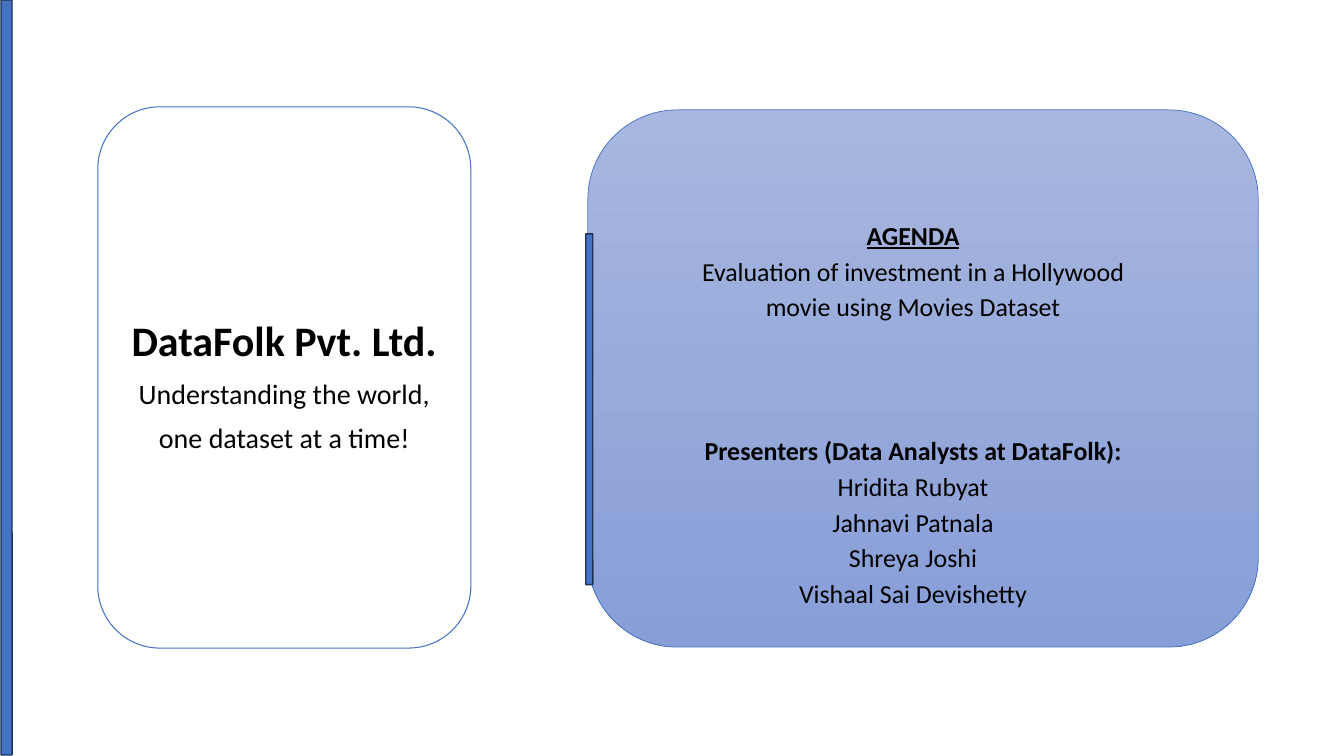
"""Build the agenda slide with a company card and a presenters card."""
from pptx import Presentation
from pptx import util as u
from pptx.dml.color import RGBColor
from pptx.enum import shapes, text
from pptx.oxml.ns import qn

BLUE = RGBColor(0x44, 0x72, 0xC4)
NAVY = RGBColor(0x1E, 0x32, 0x56)
BLACK = RGBColor(0, 0, 0)
CARD_TOP = RGBColor(0xA8, 0xB7, 0xDF)
CARD_BOTTOM = RGBColor(0x88, 0x9E, 0xD7)


def add_line(tf, line, size=18.5, bold=False, underline=None, spacing=0.7, before=10):
    first = not tf.text
    p = tf.paragraphs[0] if first else tf.add_paragraph()
    pPr = p._p.get_or_add_pPr()
    pPr.set("marL", "0")
    pPr.set("indent", "0")
    pPr.append(pPr.makeelement(qn("a:buNone"), {}))
    p.alignment = text.PP_ALIGN.CENTER
    p.line_spacing = spacing
    p.space_before = u.Pt(0 if first else before)
    r = p.add_run()
    r.text = line
    r.font.name = "Calibri"
    r.font.size = u.Pt(size)
    r.font.bold = bold
    r.font.underline = underline
    r.font.color.rgb = BLACK


prs = Presentation()
prs.slide_width = u.Inches(13.33)
prs.slide_height = u.Inches(7.5)
s = prs.slides.add_slide(prs.slide_layouts[3])
title, agenda, company = s.placeholders
title._element.getparent().remove(title._element)

cards = []
for left, top, width, height, weight in [
    (0.97, 1.06, 3.7, 5.37, 0.75),
    (5.83, 1.09, 6.65, 5.33, 0.5),
]:
    sp = s.shapes.add_shape(shapes.MSO_SHAPE.ROUNDED_RECTANGLE, u.Inches(left),
                            u.Inches(top), u.Inches(width), u.Inches(height))
    sp.shadow.inherit = False
    sp.line.color.rgb = BLUE
    sp.line.width = u.Pt(weight)
    cards.append(sp)

company_card, agenda_card = cards
company_card.fill.background()
agenda_card.fill.gradient()
agenda_card.fill.gradient_angle = 270
for stop, color in zip(agenda_card.fill.gradient_stops, (CARD_TOP, CARD_BOTTOM)):
    stop.color.rgb = color

for ph, left, top, width, height, inset in [
    (agenda, 5.68, 1.09, 6.75, 5.33, 1.17),
    (company, 0.6, 2.49, 4.44, 3.32, 0.69),
]:
    s.shapes._spTree.append(ph._element)
    ph.left, ph.top = u.Inches(left), u.Inches(top)
    ph.width, ph.height = u.Inches(width), u.Inches(height)
    tf = ph.text_frame
    tf.word_wrap = True
    tf.auto_size = text.MSO_AUTO_SIZE.NONE
    tf.vertical_anchor = text.MSO_ANCHOR.TOP
    tf.margin_top = u.Inches(inset)

tf = agenda.text_frame
add_line(tf, "AGENDA", bold=True, underline=True)
add_line(tf, "Evaluation of investment in a Hollywood")
add_line(tf, "movie using Movies Dataset")
add_line(tf, "Presenters (Data Analysts at DataFolk):", bold=True, before=87)
for presenter in ("Hridita Rubyat", "Jahnavi Patnala", "Shreya Joshi",
                  "Vishaal Sai Devishetty"):
    add_line(tf, presenter)

tf = company.text_frame
add_line(tf, "DataFolk Pvt. Ltd.", size=30, bold=True, spacing=0.9)
for tagline in ("Understanding the world,", "one dataset at a time!"):
    add_line(tf, tagline, size=20, spacing=0.9)

for left, top, width, height in [(0.01, 0, 0.11, 7.49), (5.81, 2.32, 0.07, 3.48)]:
    sp = s.shapes.add_shape(shapes.MSO_SHAPE.ROUNDED_RECTANGLE, u.Inches(left),
                            u.Inches(top), u.Inches(width), u.Inches(height))
    sp.adjustments[0] = 0.04
    sp.shadow.inherit = False
    sp.fill.solid()
    sp.fill.fore_color.rgb = BLUE
    sp.line.color.rgb = NAVY
    sp.line.width = u.Pt(1)

prs.save("out.pptx")
